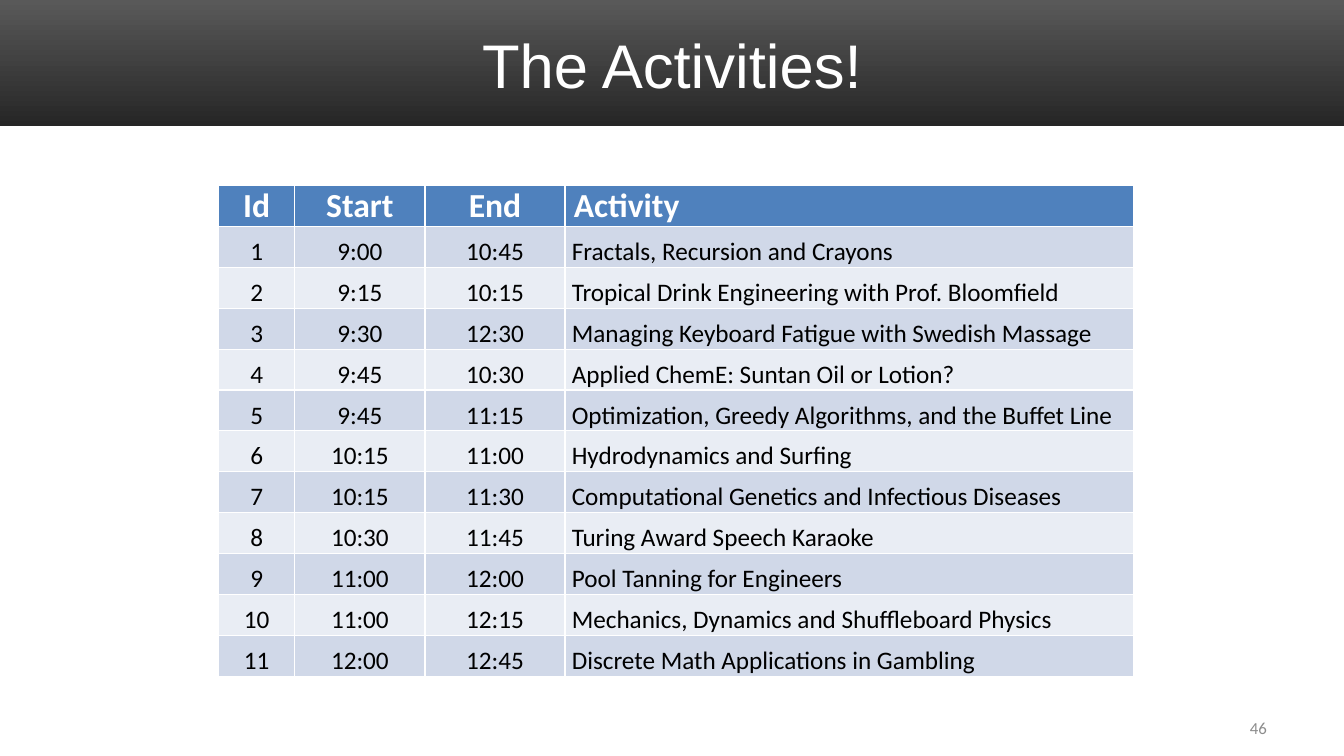
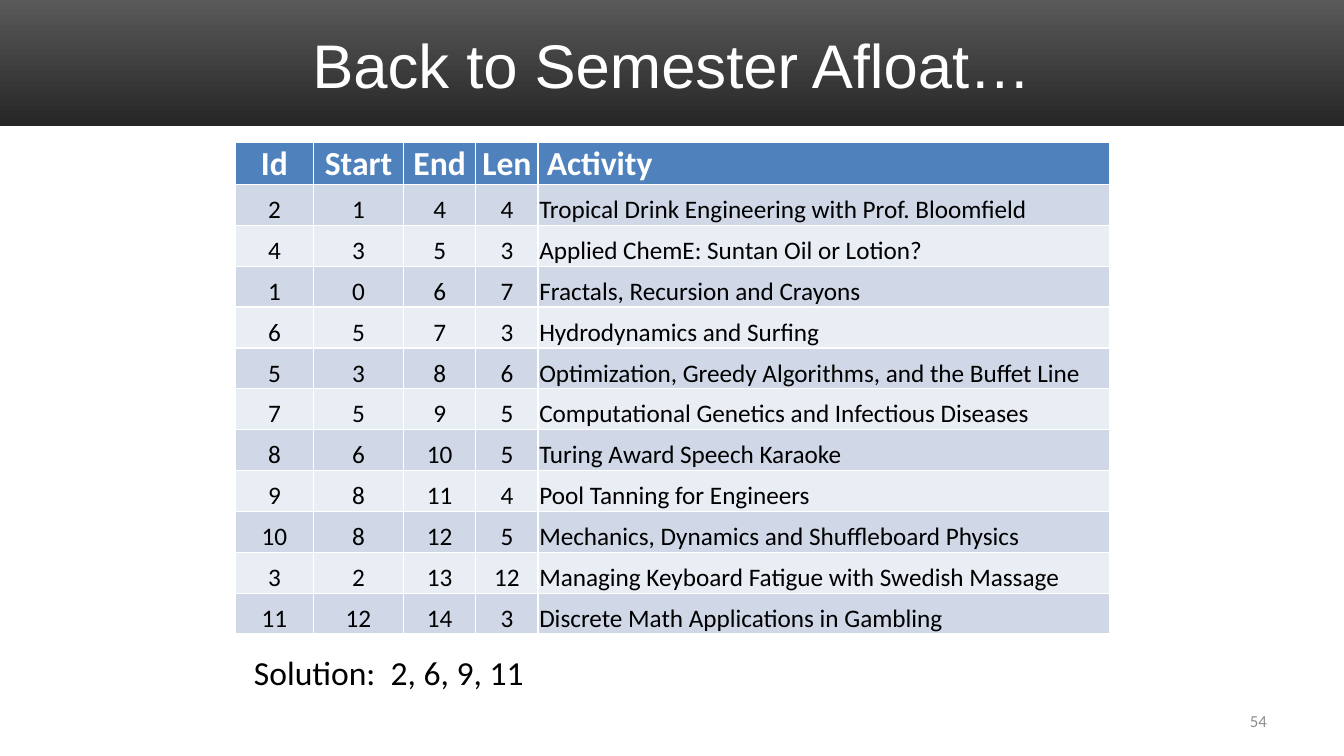
"""Build two slides that list the activities and the greedy choice among them."""
import lxml.etree
import pptx
import pptx.dml.color
import pptx.enum.shapes
import pptx.enum.text
import pptx.oxml.ns
import pptx.util

Cm = pptx.util.Cm
Pt = pptx.util.Pt
ALIGN = pptx.enum.text.PP_ALIGN
ANCHOR = pptx.enum.text.MSO_ANCHOR

WIDTH, HEIGHT = 33.87, 19.05
WHITE, BLACK, GREY = "FFFFFF", "000000", "8C8C8C"
DARK, DARKER = "595959", "262626"
HEAD, BANDS = "4F81BD", ("D0D8E8", "E9EDF4")
SANS, BODY = "Arial", "Calibri"
ROW = 1.03
INSET = 0.03

EVENTS = [
    ("9:00", "10:45", "Fractals, Recursion and Crayons"),
    ("9:15", "10:15", "Tropical Drink Engineering with Prof. Bloomfield"),
    ("9:30", "12:30", "Managing Keyboard Fatigue with Swedish Massage"),
    ("9:45", "10:30", "Applied ChemE: Suntan Oil or Lotion?"),
    ("9:45", "11:15", "Optimization, Greedy Algorithms, and the Buffet Line"),
    ("10:15", "11:00", "Hydrodynamics and Surfing"),
    ("10:15", "11:30", "Computational Genetics and Infectious Diseases"),
    ("10:30", "11:45", "Turing Award Speech Karaoke"),
    ("11:00", "12:00", "Pool Tanning for Engineers"),
    ("11:00", "12:15", "Mechanics, Dynamics and Shuffleboard Physics"),
    ("12:00", "12:45", "Discrete Math Applications in Gambling"),
]
SORTED = [
    (2, 1, 4, 4), (4, 3, 5, 3), (1, 0, 6, 7), (6, 5, 7, 3),
    (5, 3, 8, 6), (7, 5, 9, 5), (8, 6, 10, 5), (9, 8, 11, 4),
    (10, 8, 12, 5), (3, 2, 13, 12), (11, 12, 14, 3),
]


def tint(code):
    """Turn a hex string into a colour."""
    return pptx.dml.color.RGBColor.from_string(code)


def write(frame, text, size, color, font=BODY, align=ALIGN.LEFT, bold=False):
    """Set one styled line of text in a frame."""
    frame.text = text
    line = frame.paragraphs[0]
    line.alignment = align
    for run in line.runs:
        run.font.name = font
        run.font.size = Pt(size)
        run.font.bold = bold
        run.font.color.rgb = tint(color)


def label(slide, box, anchor, *args, **style):
    """Add a text box whose place is given in centimetres."""
    frame = slide.shapes.add_textbox(*map(Cm, box)).text_frame
    frame.word_wrap = True
    frame.vertical_anchor = anchor
    write(frame, *args, **style)


def banner(slide, title):
    """Draw the shaded band with the slide title on it."""
    kind = pptx.enum.shapes.MSO_SHAPE.RECTANGLE
    band = slide.shapes.add_shape(kind, 0, 0, Cm(WIDTH), Cm(3.18))
    band.shadow.inherit = False
    band.line.fill.background()
    band.fill.gradient()
    band.fill.gradient_angle = 270
    for stop, color in zip(band.fill.gradient_stops, (DARK, DARKER)):
        stop.color.rgb = tint(color)
    label(slide, (1.7, 0.43, 30.48, 2.34), ANCHOR.MIDDLE, title, 44, WHITE,
          font=SANS, align=ALIGN.CENTER)


def number(slide, text, top):
    """Add the page number at the lower right."""
    label(slide, (24.28, top, 7.9, 1.02), ANCHOR.MIDDLE, text, 12, GREY,
          align=ALIGN.RIGHT)


def border(cell):
    """Give a cell thin white lines on all four sides."""
    name = pptx.oxml.ns.qn
    props = cell._tc.get_or_add_tcPr()
    for side in "LRTB":
        line = lxml.etree.SubElement(props, name(f"a:ln{side}"), w=str(Pt(1)))
        fill = lxml.etree.SubElement(line, name("a:solidFill"))
        lxml.etree.SubElement(fill, name("a:srgbClr"), val=WHITE)


def style(cell, text, fill, left, **font):
    """Fill, frame and write one table cell."""
    border(cell)
    cell.fill.solid()
    cell.fill.fore_color.rgb = tint(fill)
    cell.vertical_anchor = ANCHOR.BOTTOM
    cell.margin_left = Cm(left)
    cell.margin_right = cell.margin_top = Cm(INSET)
    cell.margin_bottom = 0
    write(cell.text_frame, text, **font)


def grid(slide, left, top, widths, names, rows, indent):
    """Add a banded table whose last column is flush left."""
    lines = [names, *rows]
    size = (left, top, sum(widths), ROW * len(lines))
    table = slide.shapes.add_table(
        len(lines), len(names), *map(Cm, size)).table
    for column, width in zip(table.columns, widths):
        column.width = Cm(width)
    for r, line in enumerate(lines):
        table.rows[r].height = Cm(ROW)
        if r == 0:
            fill, inner = HEAD, 0.22
            font = dict(size=24, color=WHITE, bold=True)
        else:
            fill, inner = BANDS[(r - 1) % 2], indent
            font = dict(size=18, color=BLACK)
        for c, value in enumerate(line):
            last = c == len(line) - 1
            style(table.cell(r, c), str(value), fill,
                  inner if last else INSET,
                  align=ALIGN.LEFT if last else ALIGN.CENTER, **font)


def main():
    """Build and save the deck."""
    deck = pptx.Presentation()
    deck.slide_width, deck.slide_height = Cm(WIDTH), Cm(HEIGHT)
    blank = deck.slide_layouts[6]

    slide = deck.slides.add_slide(blank)
    banner(slide, "The Activities!")
    rows = [(i, *event) for i, event in enumerate(EVENTS, 1)]
    grid(slide, 5.51, 4.66, (1.92, 3.28, 3.53, 14.34),
         ("Id", "Start", "End", "Activity"), rows, 0.17)
    number(slide, "46", 17.83)

    slide = deck.slides.add_slide(blank)
    banner(slide, "Back to Semester Afloat…")
    rows = [(*item, EVENTS[item[0] - 1][-1]) for item in SORTED]
    grid(slide, 5.93, 3.6, (1.97, 2.27, 1.82, 1.57, 14.4),
         ("Id", "Start", "End", "Len", "Activity"), rows, INSET)
    label(slide, (6.15, 16.31, 9.09, 1.27), ANCHOR.TOP,
          "Solution:  2, 6, 9, 11", 24, BLACK)
    number(slide, "54", 17.65)

    deck.save("out.pptx")


if __name__ == "__main__":
    main()
